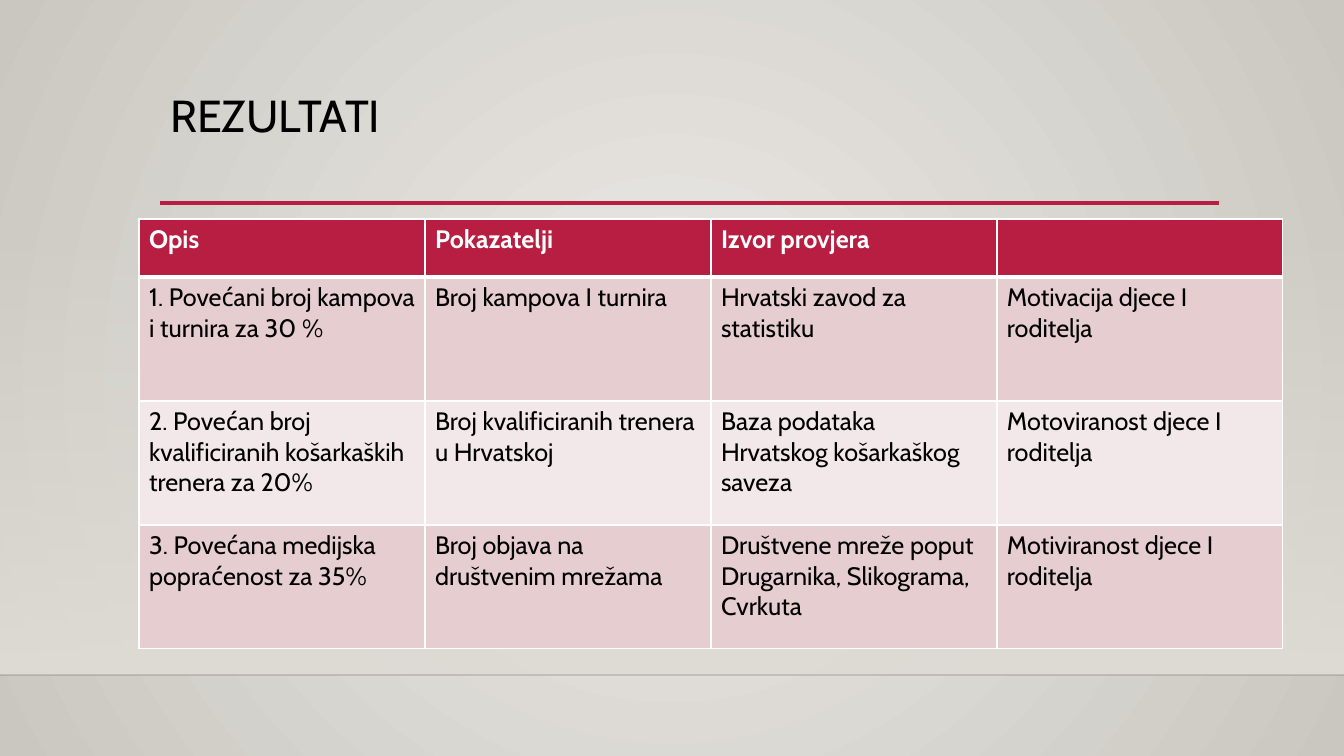
from lxml.etree import SubElement
from pptx import Presentation
from pptx.dml.color import RGBColor
from pptx.enum.shapes import MSO_CONNECTOR, MSO_SHAPE
from pptx.enum.text import MSO_ANCHOR, PP_ALIGN
from pptx.oxml.ns import qn
from pptx.util import Emu, Pt

WIDTH, HEIGHT = 1344, 756
SCALE = 12192000 / WIDTH
FONT = "Cabin"
RED, WHITE, BLACK, SAND = "B71E42", "FFFFFF", "000000", "DFDBD5"
BAND_FILLS = ["E6CDCF", "F3E8E9"]

RESULTS = [
    ["Opis", "Pokazatelji", "Izvor provjera", ""],
    ["1. Povećani broj kampova i turnira za 30 %", "Broj kampova I turnira",
     "Hrvatski zavod za statistiku", "Motivacija djece I roditelja"],
    ["2. Povećan broj kvalificiranih košarkaških trenera za 20%",
     "Broj kvalificiranih trenera u Hrvatskoj",
     "Baza podataka Hrvatskog košarkaškog saveza",
     "Motoviranost djece I roditelja"],
    ["3. Povećana medijska popraćenost za 35%",
     "Broj objava na društvenim mrežama",
     "Društvene mreže poput Drugarnika, Slikograma, Cvrkuta",
     "Motiviranost djece I roditelja"],
]


def px(length):
    return Emu(round(length * SCALE))


def color(value):
    return RGBColor.from_string(value)


def add_node(parent, tag, **attributes):
    return SubElement(parent, qn(tag), attributes)


def set_alpha(color_node, percent):
    add_node(color_node, "a:alpha", val=str(percent * 1000))


def set_gradient(holder, stops):
    """Replace the solid fill of holder by stops of (percent, color, opacity)."""
    gradient = add_node(holder, "a:gradFill", rotWithShape="1")
    holder.replace(holder.find(qn("a:solidFill")), gradient)
    stop_list = add_node(gradient, "a:gsLst")
    for percent, value, opacity in stops:
        stop = add_node(stop_list, "a:gs", pos=str(percent * 1000))
        node = add_node(stop, "a:srgbClr", val=value)
        if opacity < 100:
            set_alpha(node, opacity)
    return gradient


def paint_background(page):
    page.background.fill.solid()
    holder = page.element.find(".//" + qn("p:bgPr"))
    gradient = set_gradient(holder, [(0, "ECEAE7", 100), (100, "CAC7C1", 100)])
    circle = add_node(gradient, "a:path", path="circle")
    add_node(circle, "a:fillToRect", l="50000", t="50000", r="50000", b="50000")


def add_fade(page, top, height):
    fade = page.shapes.add_shape(MSO_SHAPE.RECTANGLE, 0, px(top), px(WIDTH), px(height))
    fade.shadow.inherit = False
    fade.line.fill.background()
    fade.fill.solid()
    gradient = set_gradient(fade.element.spPr, [(0, SAND, 0), (100, SAND, 100)])
    add_node(gradient, "a:lin", ang="5400000", scaled="0")


def add_rule(page, left, right, y, value, weight, opacity=100):
    rule = page.shapes.add_connector(
        MSO_CONNECTOR.STRAIGHT, px(left), px(y), px(right), px(y))
    rule.line.color.rgb = color(value)
    rule.line.width = Pt(weight)
    if opacity < 100:
        set_alpha(rule.element.spPr.find(".//" + qn("a:srgbClr")), opacity)
    add_node(rule.element.spPr, "a:effectLst")


def style_font(para, size, value, bold=False):
    para.font.name = FONT
    para.font.size = Pt(size)
    para.font.bold = bold
    para.font.color.rgb = color(value)


def set_title(page, text):
    title = page.shapes.title
    title.left, title.top, title.width, title.height = px(160), px(89), px(1058), px(116)
    title.text_frame.text = text
    title.text_frame.vertical_anchor = MSO_ANCHOR.TOP
    para = title.text_frame.paragraphs[0]
    para.alignment = PP_ALIGN.LEFT
    para.line_spacing = 0.9
    style_font(para, 32, BLACK)


def set_borders(cell, top, bottom):
    properties = cell._tc.get_or_add_tcPr()
    weights = {"a:lnL": 1, "a:lnR": 1, "a:lnT": top, "a:lnB": bottom}
    for tag, weight in weights.items():
        line = add_node(properties, tag, w=str(Pt(weight)))
        add_node(add_node(line, "a:solidFill"), "a:srgbClr", val=WHITE)


def add_results(page, rows):
    columns = len(rows[0])
    heights = [58] + [124] * (len(rows) - 1)
    table = page.shapes.add_table(len(rows), columns, px(139), px(219),
                                  px(286 * columns), px(sum(heights))).table
    table.horz_banding = False
    for r, texts in enumerate(rows):
        table.rows[r].height = px(heights[r])
        header = r == 0
        for c, text in enumerate(texts):
            cell = table.cell(r, c)
            cell.text = text
            style_font(cell.text_frame.paragraphs[0], 18,
                       WHITE if header else BLACK, header)
            # Borders come before the fill in the cell properties
            set_borders(cell, 3 if r == 1 else 1, 3 if header else 1)
            cell.fill.solid()
            cell.fill.fore_color.rgb = color(RED if header else BAND_FILLS[(r - 1) % 2])


def main():
    deck = Presentation()
    deck.slide_width, deck.slide_height = px(WIDTH), px(HEIGHT)
    page = deck.slides.add_slide(deck.slide_layouts[5])

    # Backdrop
    paint_background(page)
    add_fade(page, 223, 452)
    add_rule(page, 0, WIDTH, 675, "000001", 1, opacity=20)

    # Title and its underline
    set_title(page, "REZULTATI")
    add_rule(page, 160, 1219, 203, RED, 2.5)

    # Results table
    add_results(page, RESULTS)
    deck.save("out.pptx")


if __name__ == "__main__":
    main()
